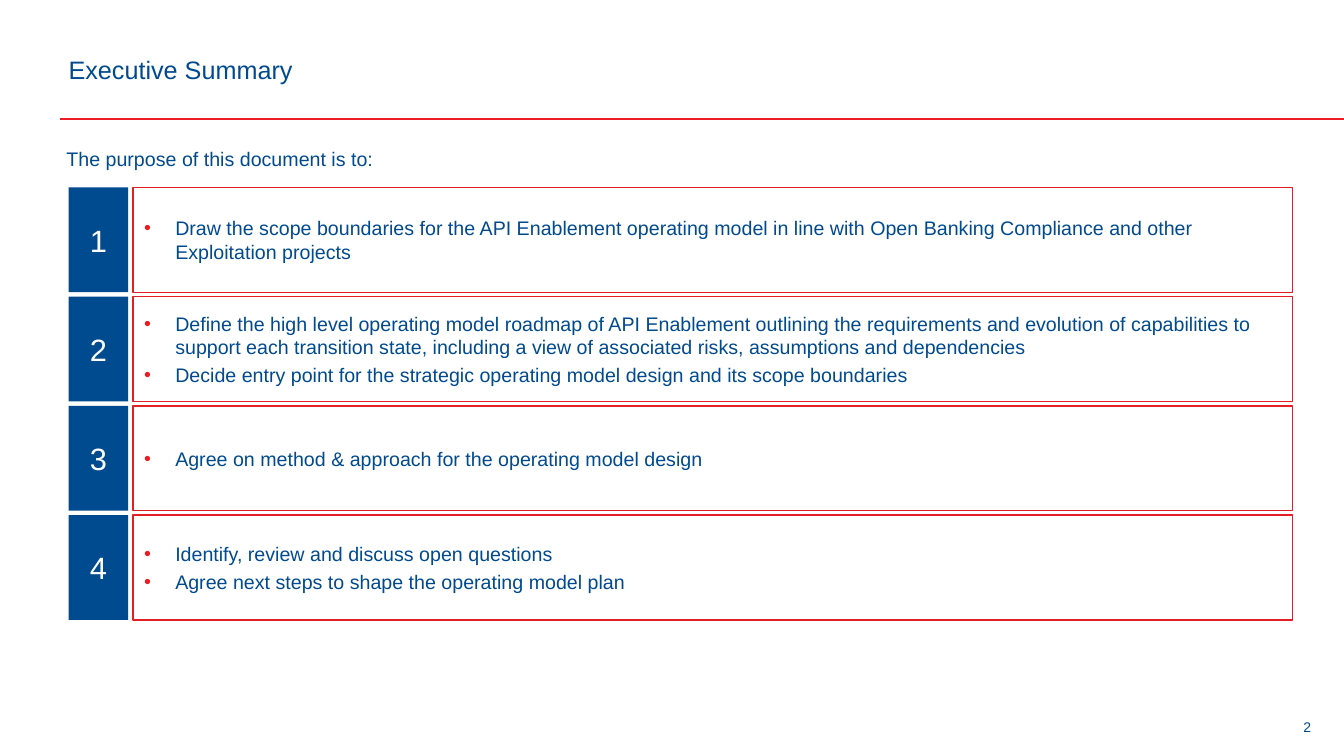
from lxml import etree
from pptx import Presentation
from pptx import util as u
from pptx.dml.color import RGBColor
from pptx.enum import shapes, text
from pptx.oxml import ns

COLORS = {"blue": "004A8F", "white": "FFFFFF", "rule": "ED1C24", "border": "E51D24"}
PURPOSES = [
    ["Draw the scope boundaries for the API Enablement operating model in line with "
     "Open Banking Compliance and other Exploitation projects"],
    ["Define the high level operating model roadmap of API Enablement outlining the "
     "requirements and evolution of capabilities to support each transition state, "
     "including a view of associated risks, assumptions and dependencies",
     "Decide entry point for the strategic operating model design and its scope boundaries"],
    ["Agree on method & approach for the operating model design"],
    ["Identify, review and discuss open questions",
     "Agree next steps to shape the operating model plan"],
]
FIRST_TOP, LAST_TOP, ROW_HEIGHT = 1.86, 5.11, 1.04
ROW_PITCH = (LAST_TOP - FIRST_TOP) / (len(PURPOSES) - 1)


def color(name):
    return RGBColor.from_string(COLORS[name])


def write(shape, lines, size, font_color="blue", align="LEFT", anchor="MIDDLE",
          margin=0.1, bullets=False):
    """Fill a shape with formatted paragraphs, optionally bulleted."""
    frame = shape.text_frame
    frame_format = {"word_wrap": True, "vertical_anchor": text.MSO_ANCHOR[anchor],
                    "margin_left": u.Inches(margin), "margin_right": u.Inches(margin)}
    for name, value in frame_format.items():
        setattr(frame, name, value)
    for index, line in enumerate(lines):
        paragraph = frame.add_paragraph() if index else frame.paragraphs[0]
        paragraph.alignment = text.PP_ALIGN[align]
        if index:
            paragraph.space_before = u.Pt(3)
        if bullets:
            properties = paragraph._p.get_or_add_pPr()
            properties.set("marL", str(u.Inches(0.32)))
            properties.set("indent", str(u.Inches(-0.31)))
            bullet_color = etree.SubElement(properties, ns.qn("a:buClr"))
            etree.SubElement(bullet_color, ns.qn("a:srgbClr"), val=COLORS["rule"])
            etree.SubElement(properties, ns.qn("a:buFont"), typeface="Arial")
            etree.SubElement(properties, ns.qn("a:buChar"), char="•")
        run = paragraph.add_run()
        run.text = line
        for name, value in {"name": "Arial", "size": u.Pt(size)}.items():
            setattr(run.font, name, value)
        run.font.color.rgb = color(font_color)


presentation = Presentation()
presentation.slide_width = u.Inches(13.33)
presentation.slide_height = u.Inches(7.5)
slide = presentation.slides.add_slide(presentation.slide_layouts[6])

# Header rule
rule = slide.shapes.add_connector(shapes.MSO_CONNECTOR.STRAIGHT, u.Inches(0.6),
                                  u.Inches(1.18), u.Inches(13.33), u.Inches(1.18))
rule.line.color.rgb = color("rule")
rule.line.width = u.Pt(2)
etree.SubElement(rule._element.spPr, ns.qn("a:effectLst"))

# Title, introduction and page number
text_boxes = [
    ((0.56, 0.21, 12.11, 0.96), "Executive Summary", {"size": 18, "margin": 0.12}),
    ((0.56, 1.41, 12.11, 0.34), "The purpose of this document is to:",
     {"size": 14, "anchor": "TOP"}),
    ((12.7, 6.93, 0.53, 0.57), "2", {"size": 10, "align": "CENTER"}),
]
for box, wording, text_format in text_boxes:
    write(slide.shapes.add_textbox(*map(u.Inches, box)), [wording], **text_format)

# Numbered purposes
for row, purposes in enumerate(PURPOSES):
    top = FIRST_TOP + row * ROW_PITCH
    number, panel = [
        slide.shapes.add_shape(shapes.MSO_SHAPE.RECTANGLE, u.Inches(left), u.Inches(top),
                               u.Inches(width), u.Inches(ROW_HEIGHT))
        for left, width in ((0.68, 0.59), (1.32, 11.5))
    ]
    for shape in (number, panel):
        shape.shadow.inherit = False
    number.fill.solid()
    number.fill.fore_color.rgb = color("blue")
    number.line.fill.background()
    write(number, [str(row + 1)], 22, font_color="white", align="CENTER")

    panel.fill.background()
    panel.line.color.rgb = color("border")
    panel.line.width = u.Pt(1)
    write(panel, purposes, 14, bullets=True)

presentation.save("out.pptx")
